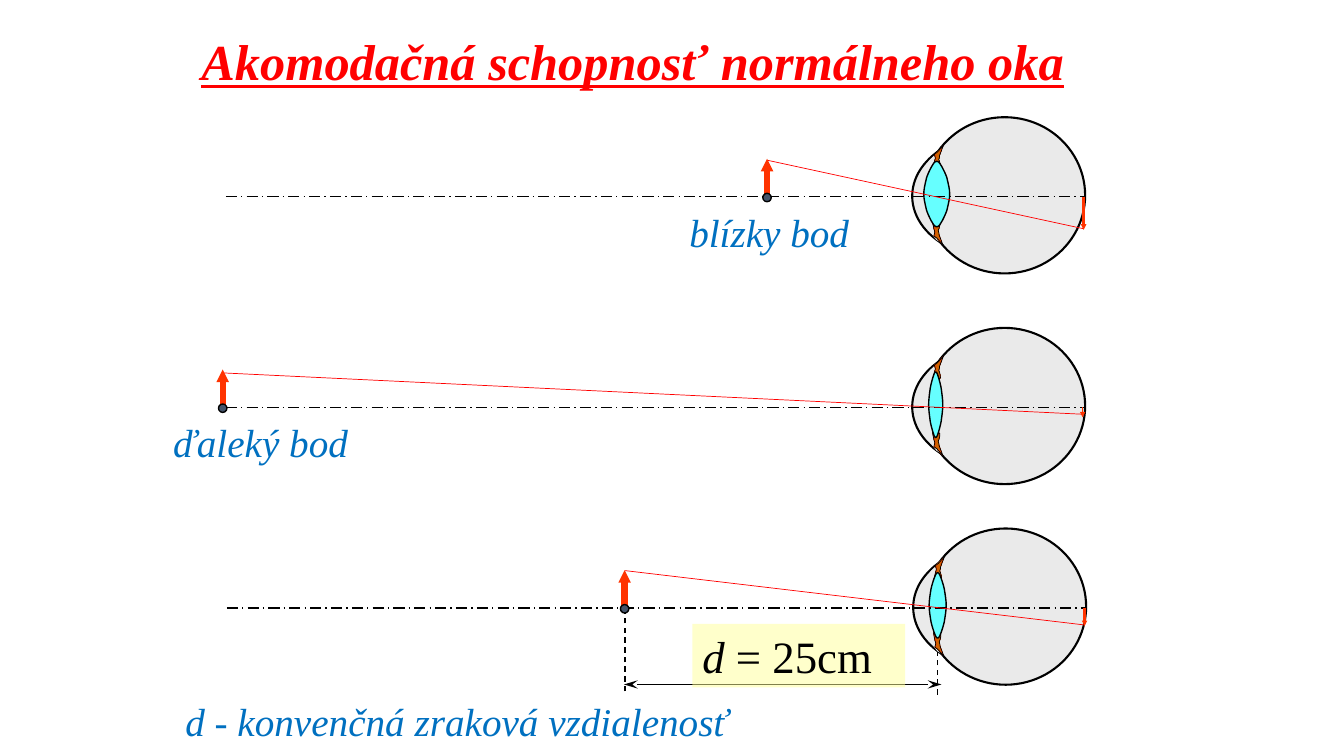
"""Builds a slide on the accommodation of a normal eye."""
import copy

import pptx
import pptx.dml.color
import pptx.enum.dml
import pptx.enum.shapes
import pptx.enum.text
import pptx.oxml.ns
import pptx.util
from lxml import etree

COLORS = {
    "title": "FF0000", "caption": "0070C0", "ink": "000000", "label": "FFFF99",
    "eye": "EAEAEA", "lens": "66FFFF", "ray": "FF0000", "arrow": "FF3300",
    "muscle": "CC6600", "dot": "44546A",
}
FONT = "Times New Roman"
TITLE = ("Akomodačná schopnosť normálneho oka", 136.8, 18, 652.3, 51.1)
CAPTIONS = [
    ("blízky bod", 485.3, 145.4, 133.2, 41),
    ("ďaleký bod", 116.6, 295.2, 141.8, 41),
    ("d - konvenčná zraková vzdialenosť", 125.3, 494.6, 406.8, 41),
]
LABEL_BOX = (494.6, 445.7, 151.9, 45.4)
LABEL_RUNS = [("d", True), (" = 25cm", False)]
DISTANCE_LINE = (445.7, 488.9, 672.5, 488.9)
GUIDES = [(669.6, 496.1, 669.6, 433.4), (446.4, 493.9, 446.4, 431.3)]
SCENES = [
    {"eye": 657.4, "axis": 140.4, "lens": (11.7, 18.5), "object": 547.9, "ray_rise": 25.9,
     "ray_drop": 23, "image": 774, "image_drop": 23.8, "image_width": 2},
    {"eye": 657.4, "axis": 290.9, "lens": (11, 10.1), "object": 159.1, "ray_rise": 24.5,
     "ray_drop": 5, "image": 773.3, "image_drop": 7.2, "image_width": 0.75},
    {"eye": 658.1, "axis": 434.2, "lens": (11.7, 12.2), "object": 446.2, "ray_rise": 26.6,
     "ray_drop": 12.2, "image": 774.7, "image_drop": 13, "image_width": 1.5},
]
EYEBALLS = [(-5.8, -44.6, 120.2, 88.6), (2.7, -56.7, 115, 111.6)]
AXIS_SPAN = (-496.1, 118.1)
ARROW_HEIGHT, DOT_SIZE = 27, 6
LENS_HEIGHT, MIDDLE = 46.8, -1.8
MIRROR = -2.1
CORNEA = [
    [(26.6, -33.8)],
    [(25.2, -45.4), (16.6, -33.8), (13, -31.7)],
    [(8.6, -28.8), (4.3, -24.5), (2.9, -19.4)],
    [(0.7, -13.7), (0, -4.3), (0, 1.4)],
    [(0, 7.2), (0.7, 12.2), (2.9, 17.3)],
    [(4.3, 21.6), (8.6, 27.4), (11.5, 31)],
    [(19.4, 35.3)],
    [(22.3, 24.5), (27.4, -23), (26.6, -33.8)],
]
MUSCLE = [
    [(16.6, -36.7)],
    [(14.4, -31)],
    [(13.7, -29.5), (13.7, -28.8), (13.7, -28.1)],
    [(13, -26.6), (13, -25.9), (13.7, -25.2)],
    [(13.7, -23.8), (15.1, -21.6), (14.4, -20.9)],
    [(13.7, -20.2), (10.1, -18.7), (9.4, -19.4)],
    [(8.6, -20.2), (10.1, -23.8), (10.1, -25.2)],
    [(10.8, -26.6), (10.8, -26.6), (10.8, -27.4)],
    [(10.8, -28.1), (10.1, -29.5), (10.1, -30.2)],
    [(12.2, -31.7)],
    [(16.6, -36.7)],
]
LENS_QUARTER = [
    (0, -1),
    (-0.18, -1), (-0.32, -0.89), (-0.42, -0.82),
    (-0.55, -0.72), (-0.7, -0.6), (-0.78, -0.5),
    (-0.9, -0.3), (-1, -0.15), (-1, 0),
]
SHAPES = pptx.enum.shapes.MSO_SHAPE
DASHES = pptx.enum.dml.MSO_LINE
QUALIFY = pptx.oxml.ns.qn


def points(*values):
    return [pptx.util.Pt(value) for value in values]


def rgb(name):
    return pptx.dml.color.RGBColor.from_string(COLORS[name])


def set_line(line, color, width):
    if color is None:
        line.fill.background()
        return
    line.color.rgb = rgb(color)
    line.width = pptx.util.Pt(width)


def style_shape(shape, fill, line=None, width=1):
    shape.shadow.inherit = False
    shape.fill.solid()
    shape.fill.fore_color.rgb = rgb(fill)
    set_line(shape.line, line, width)
    return shape


def add_line(shapes, ends, color, width, dash=None, **arrowheads):
    connector = shapes.add_connector(
        pptx.enum.shapes.MSO_CONNECTOR.STRAIGHT, *points(*ends))
    set_line(connector.line, color, width)
    if dash is not None:
        connector.line.dash_style = dash
    outline = connector.line._get_or_add_ln()
    for end, (kind, breadth, length) in arrowheads.items():
        etree.SubElement(outline, QUALIFY(f"a:{end}End"), type=kind, w=breadth, len=length)
    etree.SubElement(connector._element.spPr, QUALIFY("a:effectLst"))


def add_text(frame, runs, size, color, wrap=False, **extra):
    frame.word_wrap = wrap
    frame.auto_size = pptx.enum.text.MSO_AUTO_SIZE.SHAPE_TO_FIT_TEXT
    frame.vertical_anchor = pptx.enum.text.MSO_ANCHOR.TOP
    paragraph = frame.paragraphs[0]
    paragraph.alignment = pptx.enum.text.PP_ALIGN.LEFT
    for text, italic in runs:
        run = paragraph.add_run()
        run.text = text
        run.font.color.rgb = rgb(color)
        formats = {"name": FONT, "size": pptx.util.Pt(size), "italic": italic, **extra}
        for name, value in formats.items():
            setattr(run.font, name, value)


def add_outline(shapes, scene, segments, *style):
    """Draws a closed outline of straight and cubic segments."""
    placed = [points(scene["eye"] + x, scene["axis"] + y)
              for segment in segments for x, y in segment]
    builder = shapes.build_freeform(*placed[0], scale=1.0)
    builder.add_line_segments(placed[1:], close=True)
    shape = builder.convert_to_shape()
    steps = iter(shape._element.spPr.findall(".//" + QUALIFY("a:lnTo")))
    for segment in segments[1:]:
        group = [next(steps) for _ in segment]
        if len(group) == 3:
            curve = etree.Element(QUALIFY("a:cubicBezTo"))
            group[0].addprevious(curve)
            for step in group:
                curve.append(step[0])
                step.getparent().remove(step)
    return style_shape(shape, *style)


def add_muscle(shapes, scene, segments):
    muscle = add_outline(shapes, scene, segments, "muscle", "ink", 0.5)
    muscle.fill.gradient()
    muscle.fill.gradient_angle = 0
    stops = muscle._element.spPr.find(".//" + QUALIFY("a:gsLst"))
    stops.insert(1, copy.deepcopy(stops[0]))
    colors = ((0, "arrow"), (0.5, "muscle"), (1, "arrow"))
    for stop, (position, color) in zip(muscle.fill.gradient_stops, colors):
        stop.position = position
        stop.color.rgb = rgb(color)


def lens_segments(center, width):
    half = LENS_QUARTER + [(x, -y) for x, y in reversed(LENS_QUARTER[:-1])]
    whole = half + [(-x, y) for x, y in reversed(half[:-1])]
    placed = [(center + x * width / 2, MIDDLE + y * LENS_HEIGHT / 2) for x, y in whole]
    return [placed[:1]] + [placed[i:i + 3] for i in range(1, len(placed), 3)]


def add_eye(slide, scene):
    shapes = slide.shapes.add_group_shape().shapes
    left, axis = scene["eye"], scene["axis"]
    for x, y, width, height in EYEBALLS:
        box = points(left + x, axis + y, width, height)
        style_shape(shapes.add_shape(SHAPES.OVAL, *box), "eye", "ink", 1.5)
    add_outline(shapes, scene, CORNEA, "eye")
    lower = [[(x - 0.4, MIRROR - y) for x, y in segment] for segment in MUSCLE]
    for segments in (MUSCLE, lower):
        add_muscle(shapes, scene, segments)
    add_outline(shapes, scene, lens_segments(*scene["lens"]), "lens", "ink", 1)
    start, end = AXIS_SPAN
    add_line(shapes, (left + start, axis, left + end, axis), "ink", 1, DASHES.LONG_DASH_DOT)


def add_rays(slide, scene):
    shapes, axis = slide.shapes, scene["axis"]
    source, image = scene["object"], scene["image"]
    head = ("triangle", "sm", "sm")
    add_line(shapes, (source + 0.4, axis - scene["ray_rise"],
                      image, axis + scene["ray_drop"]), "ray", 0.5)
    add_line(shapes, (source, axis, source, axis - ARROW_HEIGHT), "arrow", 4.5, tail=head)
    add_line(shapes, (image, axis, image, axis + scene["image_drop"]), "arrow",
             scene["image_width"], tail=head)
    box = points(source - DOT_SIZE / 2, axis + 0.7 - DOT_SIZE / 2, DOT_SIZE, DOT_SIZE)
    style_shape(shapes.add_shape(SHAPES.OVAL, *box), "dot", "ink", 1)


def main():
    presentation = pptx.Presentation()
    presentation.slide_width, presentation.slide_height = points(960, 540)
    slide = presentation.slides.add_slide(presentation.slide_layouts[6])
    shapes = slide.shapes
    title, *box = TITLE
    add_text(shapes.add_textbox(*points(*box)).text_frame, [(title, True)], 36, "title",
             bold=True, underline=True)
    head = ("stealth", "med", "lg")
    add_line(shapes, DISTANCE_LINE, "ink", 1, head=head, tail=head)
    label = style_shape(shapes.add_shape(SHAPES.RECTANGLE, *points(*LABEL_BOX)), "label")
    color = label._element.spPr.find(".//" + QUALIFY("a:srgbClr"))
    etree.SubElement(color, QUALIFY("a:alpha"), val="50000")
    add_text(label.text_frame, LABEL_RUNS, 32, "ink", wrap=True)
    for scene, (caption, *box) in zip(SCENES, CAPTIONS):
        if scene is SCENES[-1]:
            guides = shapes.add_group_shape().shapes
            for ends in GUIDES:
                add_line(guides, ends, "ink", 1, DASHES.DASH)
        add_eye(slide, scene)
        add_rays(slide, scene)
        add_text(shapes.add_textbox(*points(*box)).text_frame, [(caption, True)], 28,
                 "caption")
    presentation.save("out.pptx")


if __name__ == "__main__":
    main()
